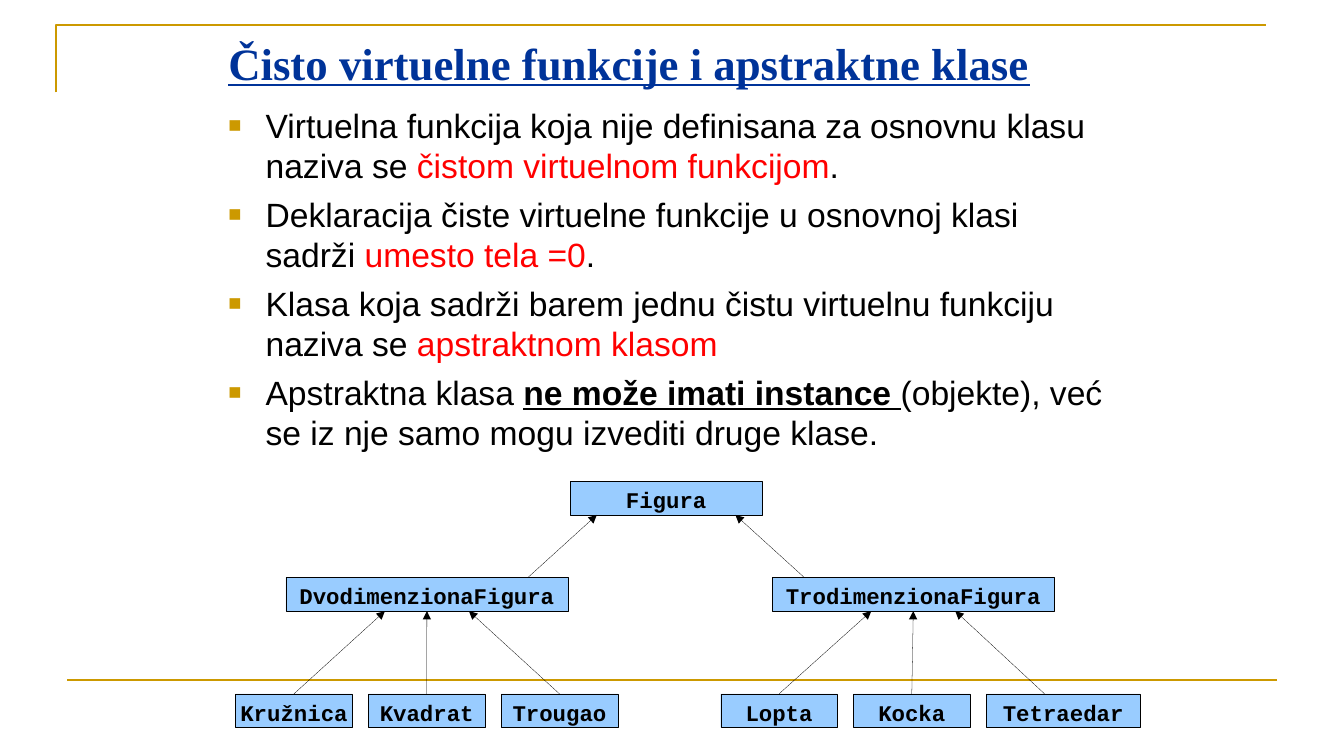
from dataclasses import dataclass
from typing import Any

from lxml.etree import SubElement as Sub
from pptx import Presentation
from pptx.dml.color import RGBColor as Rgb
from pptx.enum.shapes import MSO_CONNECTOR as Conn, MSO_SHAPE as Form
from pptx.enum.text import MSO_ANCHOR as Anchor, PP_ALIGN as Align
from pptx.oxml.ns import qn
from pptx.util import Emu, Inches, Pt

COLS, ROWS = 160, 90


@dataclass(frozen=True)
class Theme:
    gold: str = "CC9900"
    navy: str = "003399"
    black: str = "000000"
    red: str = "FF0000"
    sky: str = "99CCFF"
    head: int = 32
    body: int = 24
    code: int = 16
    rule: float = 1.5
    hair: float = 0.2


@dataclass(frozen=True)
class Run:
    text: str
    color: str
    strong: bool = False


@dataclass(frozen=True)
class Box:
    text: str
    x: float
    y: float
    wide: float
    out: float
    tall: float = 4


@dataclass(frozen=True)
class Kin:
    base: Box
    kids: list[Box]
    steps: tuple[int, ...]
    reach: float


LOOK = Theme()
deck = Presentation()
deck.slide_width, deck.slide_height = Inches(13.33), Inches(7.5)
slide = deck.slides.add_slide(deck.slide_layouts[6])
shapes = slide.shapes


def col(n: float) -> Emu:
    return Emu(round(deck.slide_width * n / COLS))


def row(n: float) -> Emu:
    return Emu(round(deck.slide_height * n / ROWS))


def area(x: float, y: float, wide: float, tall: float) -> tuple[Emu, ...]:
    return col(x), row(y), col(wide), row(tall)


def apply(item: Any, style: dict[str, Any]) -> None:
    for key, value in style.items():
        setattr(item, key, value)


def write(para: Any, text: str, color: str, style: dict[str, Any]) -> None:
    run = para.add_run()
    run.text = text
    apply(run.font, style)
    run.font.color.rgb = Rgb.from_string(color)


def stroke(item: Any, color: str, width: float) -> None:
    item.line.color.rgb = Rgb.from_string(color)
    item.line.width = Pt(width)


def link(x1: float, y1: float, x2: float, y2: float, color: str, width: float, arrow: bool) -> None:
    line = shapes.add_connector(Conn.STRAIGHT, col(x1), row(y1), col(x2), row(y2))
    stroke(line, color, width)
    if arrow:
        Sub(line.line._get_or_add_ln(), qn("a:tailEnd"), type="triangle")
    Sub(line._element.spPr, qn("a:effectLst"))


def bullet(para: Any) -> None:
    props = para._p.get_or_add_pPr()
    apply_ind = {"marL": Inches(0.37), "indent": Inches(-0.37)}
    for key, value in apply_ind.items():
        props.set(key, str(value))
    Sub(Sub(props, qn("a:buClr")), qn("a:srgbClr"), val=LOOK.gold)
    Sub(props, qn("a:buSzPct"), val="65000")
    Sub(props, qn("a:buFont"), typeface="Arial")
    Sub(props, qn("a:buChar"), char="■")


def draw_frame() -> None:
    pen = shapes.build_freeform(col(6.7), row(11), scale=1.0)
    pen.add_line_segments([(col(6.7), row(3)), (col(150.7), row(3))], close=False)
    edge = pen.convert_to_shape()
    edge.shadow.inherit = False
    edge.fill.background()
    stroke(edge, LOOK.gold, LOOK.rule)
    link(8, 81, 152, 81, LOOK.gold, LOOK.rule, False)


def draw_title(text: str) -> None:
    frame = shapes.add_textbox(*area(26, 3.6, 108, 11.2)).text_frame
    apply(frame, {"word_wrap": True, "vertical_anchor": Anchor.TOP})
    style = {"name": "Times New Roman", "size": Pt(LOOK.head), "bold": True, "underline": True}
    write(frame.paragraphs[0], text, LOOK.navy, style)


def draw_body(points: list[list[Run]]) -> None:
    frame = shapes.add_textbox(*area(26, 11.9, 108, 63.8)).text_frame
    frame.word_wrap = True
    for i, runs in enumerate(points):
        para = frame.add_paragraph() if i else frame.paragraphs[0]
        para.space_before = Pt(6)
        bullet(para)
        for run in runs:
            style = {"name": "Arial", "size": Pt(LOOK.body), "bold": run.strong, "underline": run.strong}
            write(para, run.text, run.color, style)


def draw_box(box: Box) -> None:
    rect = shapes.add_shape(Form.RECTANGLE, *area(box.x, box.y, box.wide, box.tall))
    rect.shadow.inherit = False
    rect.fill.solid()
    rect.fill.fore_color.rgb = Rgb.from_string(LOOK.sky)
    stroke(rect, LOOK.black, LOOK.hair)
    frame = rect.text_frame
    apply(frame, {"margin_left": 0, "margin_right": 0, "margin_top": row(1.2), "margin_bottom": 0,
                  "word_wrap": True, "vertical_anchor": Anchor.TOP})
    para = frame.paragraphs[0]
    apply(para, {"alignment": Align.CENTER, "line_spacing": 0.8})
    write(para, box.text, LOOK.black, {"name": "Courier New", "size": Pt(LOOK.code), "bold": True})


def draw_links(kin: Kin) -> None:
    base = kin.base
    for kid, step in zip(kin.kids, kin.steps):
        end = base.x + base.wide / 2 + step * kin.reach
        link(kid.x + kid.out, kid.y, end, base.y + base.tall, LOOK.black, LOOK.hair, True)


def leaves(left: float, names: list[str], wides: list[float]) -> list[Box]:
    return [Box(name, left + i * 15.8, 82.6, wide, 6.95) for i, (name, wide) in enumerate(zip(names, wides))]


def main() -> None:
    ink, red = LOOK.black, LOOK.red
    draw_frame()
    draw_title("Čisto virtuelne funkcije i apstraktne klase")
    draw_body([
        [Run("Virtuelna funkcija koja nije definisana za osnovnu klasu naziva se ", ink),
         Run("čistom virtuelnom funkcijom", red), Run(".", ink)],
        [Run("Deklaracija čiste virtuelne funkcije u osnovnoj klasi sadrži ", ink),
         Run("umesto tela =0", red), Run(".", ink)],
        [Run("Klasa koja sadrži barem jednu čistu virtuelnu funkciju naziva se ", ink),
         Run("apstraktnom klasom", red)],
        [Run("Apstraktna klasa ", ink), Run("ne može imati instance ", ink, True),
         Run("(objekte), već se iz nje samo mogu izvediti druge klase.", ink)],
    ])
    root = Box("Figura", 67.9, 57.3, 22.8, 11.4)
    flat = Box("DvodimenzionaFigura", 34.05, 68.75, 33.55, 28.8)
    solid = Box("TrodimenzionaFigura", 91.95, 68.75, 33.55, 3.8)
    kins = [
        Kin(root, [flat, solid], (-1, 1), 8.25),
        Kin(flat, leaves(28.05, ["Kružnica", "Kvadrat", "Trougao"], [13.9] * 3), (-1, 0, 1), 5),
        Kin(solid, leaves(85.8, ["Lopta", "Kocka", "Tetraedar"], [13.9, 13.9, 18.35]), (-1, 0, 1), 5),
    ]
    draw_box(root)
    for kin in kins:
        for kid in kin.kids:
            draw_box(kid)
    for kin in kins:
        draw_links(kin)
    deck.save("out.pptx")


if __name__ == "__main__":
    main()
